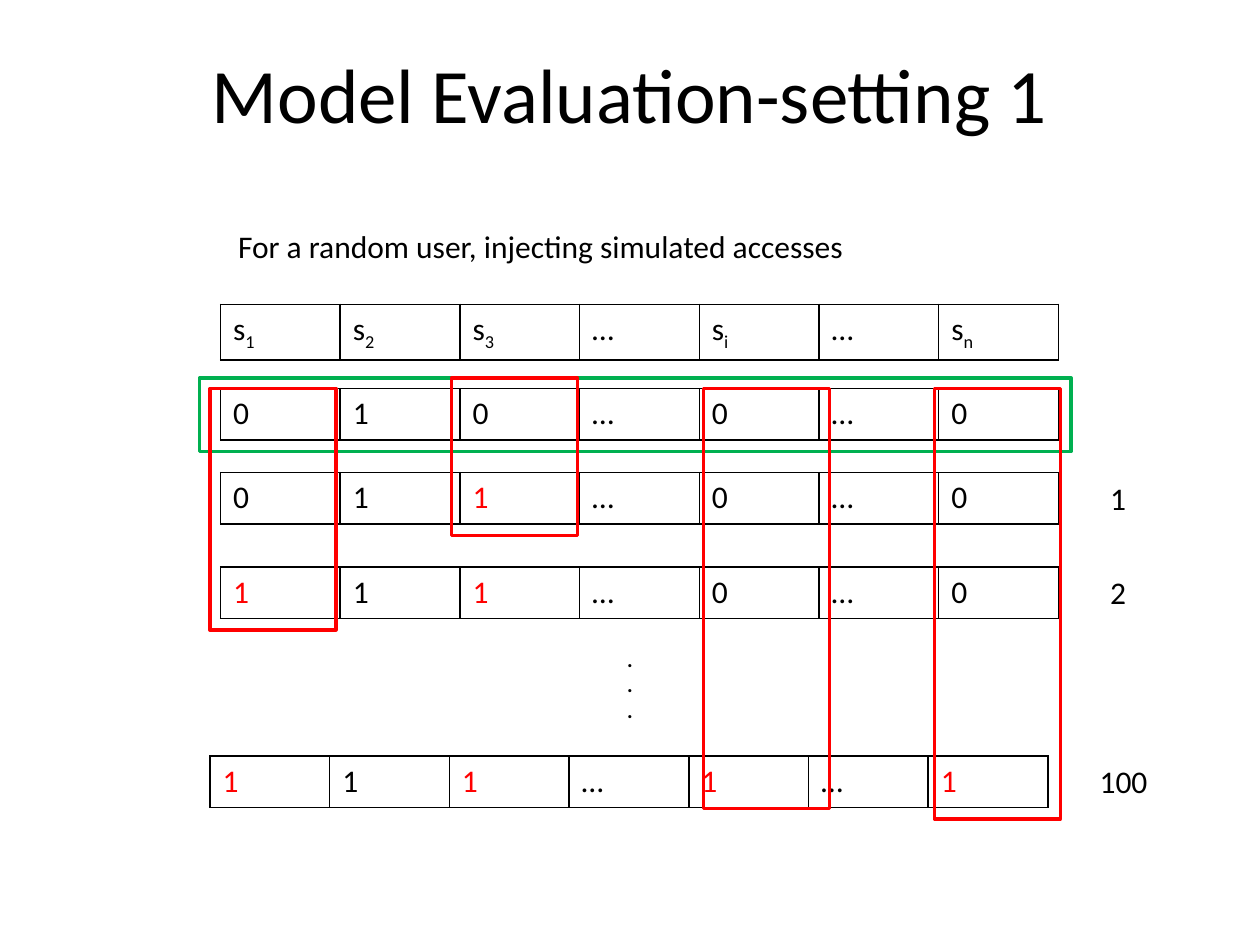
from lxml import etree
from pptx import Presentation
from pptx import util as u
from pptx.dml.color import RGBColor
from pptx.enum import shapes, text
from pptx.oxml.ns import qn

PX = 7620  # EMU: 120 px to the inch
BLACK, RED, GREEN = "000000", "FF0000", "00B050"
COLUMN_WIDTH, ROW_HEIGHT = 114, 49

SITES = ["s_1", "s_2", "s_3", "…", "s_i", "…", "s_n"]
# left, top, values, columns holding an injected access
ACCESS_ROWS = [
    (210, 290, SITES, ()),
    (210, 370, "010…0…0", ()),
    (210, 450, "011…0…0", (2,)),
    (210, 540, "111…0…0", (0, 2)),
    (200, 720, "111…1…1", (0, 2, 4, 6)),
]
ROUND_LABELS = [("1", (1040, 450, 50, 40)), ("2", (1040, 540, 50, 40)),
                ("100", (1020, 720, 100, 40))]
FRAMES = [
    (GREEN, (190, 360, 830, 70)),
    (RED, (430, 360, 120, 150)),
    (RED, (200, 370, 120, 230)),
    (RED, (670, 370, 120, 400)),
    (RED, (890, 370, 120, 410)),
]


def emu(box):
    return [u.Emu(length * PX) for length in box]


def rgb(color):
    return RGBColor.from_string(color)


def write(frame, content, size=18, color=BLACK, bold=False, align=None):
    """Write one paragraph per line; whatever follows "_" is subscript."""
    for number, line in enumerate(content.split("\n")):
        paragraph = frame.paragraphs[0] if number == 0 else frame.add_paragraph()
        paragraph.alignment = align
        for level, part in enumerate(line.split("_")):
            run = paragraph.add_run()
            run.text = part
            run.font.name = "Calibri"
            run.font.size = u.Pt(size)
            run.font.bold = bold
            run.font.color.rgb = rgb(color)
            if level:
                run.font._element.set("baseline", "-25000")


def add_title(slide, box, content):
    title = slide.shapes.title
    title.left, title.top, title.width, title.height = emu(box)
    title.text_frame.vertical_anchor = text.MSO_ANCHOR.MIDDLE
    write(title.text_frame, content, size=44, align=text.PP_ALIGN.CENTER)


def add_label(slide, box, content, **style):
    frame = slide.shapes.add_textbox(*emu(box)).text_frame
    frame.word_wrap = True
    frame.margin_left = frame.margin_right = 0
    write(frame, content, align=text.PP_ALIGN.CENTER, **style)


def outline_cell(cell):
    properties = cell._tc.get_or_add_tcPr()
    for side in ("a:lnL", "a:lnR", "a:lnT", "a:lnB"):
        line = etree.SubElement(properties, qn(side), w=str(u.Pt(1)))
        fill = etree.SubElement(line, qn("a:solidFill"))
        etree.SubElement(fill, qn("a:srgbClr"), val=BLACK)


def add_access_row(slide, left, top, values, injected):
    box = emu((left, top, COLUMN_WIDTH * len(values), ROW_HEIGHT))
    table = slide.shapes.add_table(1, len(values), *box).table
    table.first_row = table.horz_banding = False
    for column, value in enumerate(values):
        table.columns[column].width = u.Emu(COLUMN_WIDTH * PX)
        cell = table.cell(0, column)
        outline_cell(cell)
        cell.fill.background()
        write(cell.text_frame, value, color=RED if column in injected else BLACK)


def add_frame(slide, box, color):
    frame = slide.shapes.add_shape(shapes.MSO_SHAPE.RECTANGLE, *emu(box))
    frame.shadow.inherit = False
    frame.fill.background()
    frame.line.color.rgb = rgb(color)
    frame.line.width = u.Pt(2)


def main():
    deck = Presentation()
    deck.slide_width, deck.slide_height = emu((1200, 900))
    slide = deck.slides.add_slide(deck.slide_layouts[5])
    add_title(slide, (60, 36, 1080, 104), "Model Evaluation-setting 1")
    add_label(slide, (190, 210, 650, 60),
              "For a random user, injecting simulated accesses")
    for row in ACCESS_ROWS:
        add_access_row(slide, *row)
    add_label(slide, (590, 610, 20, 110), ".\n.\n.", size=12, bold=True)
    for label, box in ROUND_LABELS:
        add_label(slide, box, label)
    for color, box in FRAMES:
        add_frame(slide, box, color)
    deck.save("out.pptx")


if __name__ == "__main__":
    main()
